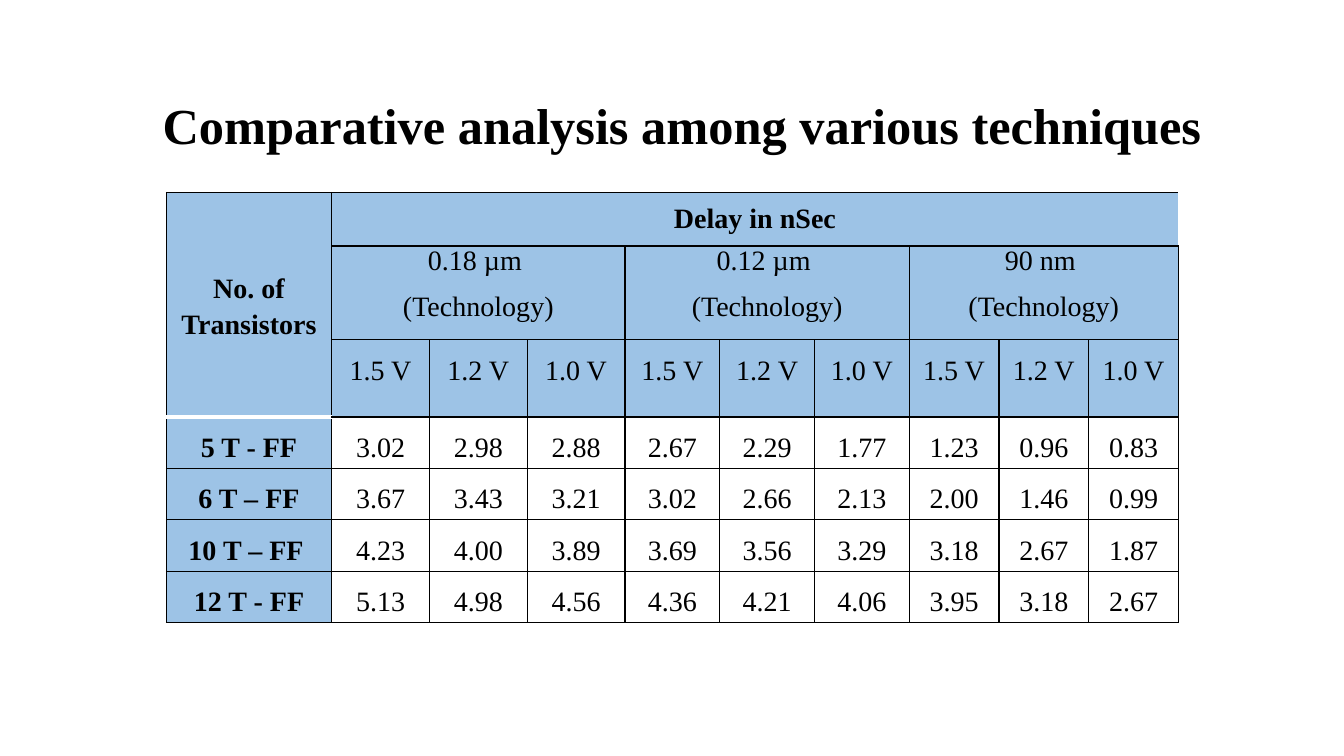
from pptx import Presentation
from pptx.dml.color import RGBColor
from pptx.enum import text as t
from pptx.oxml import parse_xml
from pptx.oxml.ns import nsdecls
from pptx.util import Inches, Pt

BLACK = RGBColor(0x00, 0x00, 0x00)
WHITE = RGBColor(0xFF, 0xFF, 0xFF)
BLUE = RGBColor(0x9D, 0xC3, 0xE6)
FONT = "Times New Roman"

WIDTHS = [1.64] + [0.97] * 3 + [0.94] * 3 + [0.89] * 3
HEIGHTS = [0.53, 0.93, 0.7] + [0.51] * 4
NODES = ["0.18 µm ", "0.12 µm ", "90 nm "]
VOLTS = ["1.5 V", "1.2 V", "1.0 V"]
DELAYS = [
    ("5 T - FF", "3.02 2.98 2.88 2.67 2.29 1.77 1.23 0.96 0.83"),
    ("6 T – FF", "3.67 3.43 3.21 3.02 2.66 2.13 2.00 1.46 0.99"),
    ("10 T – FF ", "4.23 4.00 3.89 3.69 3.56 3.29 3.18 2.67 1.87"),
    ("12 T - FF", "5.13 4.98 4.56 4.36 4.21 4.06 3.95 3.18 2.67"),
]


def add_run(para, words, size, bold):
    run = para.add_run()
    run.text = words
    run.font.name = FONT
    run.font.size = Pt(size)
    run.font.bold = bold
    run.font.color.rgb = BLACK


def add_title(slide, words):
    box = slide.shapes.add_textbox(Inches(0.92), Inches(0.79), Inches(11.5), Inches(0.97))
    frame = box.text_frame
    frame.word_wrap = True
    frame.margin_left = Inches(0.29)
    frame.vertical_anchor = t.MSO_ANCHOR.MIDDLE
    para = frame.paragraphs[0]
    para.alignment = t.PP_ALIGN.CENTER
    para.line_spacing = 0.9
    add_run(para, words, 36, True)


def set_edges(cell, **special):
    """Draw thin black edges, save for the sides given as (colour, points)."""
    props = cell._tc.get_or_add_tcPr()
    for side in "LRTB":
        color, width = special.get(side, (BLACK, 1))
        props.append(parse_xml(
            f'<a:ln{side} {nsdecls("a")} w="{Pt(width)}"><a:solidFill>'
            f'<a:srgbClr val="{color}"/></a:solidFill></a:ln{side}>'))


def fill_cell(cell, lines, bold=False, spacing=1.5, middle=False):
    frame = cell.text_frame
    for i, line in enumerate(lines):
        para = frame.add_paragraph() if i else frame.paragraphs[0]
        para.alignment = t.PP_ALIGN.CENTER
        para.line_spacing = spacing
        para.space_after = Pt(10)
        add_run(para, line, 20, bold)
    if middle:
        cell.vertical_anchor = t.MSO_ANCHOR.MIDDLE


def style_grid(table):
    last = len(WIDTHS) - 1
    for r in range(len(HEIGHTS)):
        for c in range(len(WIDTHS)):
            cell = table.cell(r, c)
            cell.margin_left = cell.margin_right = Inches(0.07)
            cell.margin_top = cell.margin_bottom = 0
            special = {}
            if r == 0 and c in (1, last):
                special["R"] = (WHITE, 1)
            if c == 0 and r in (0, 2):
                special["B"] = (WHITE, 3)
            if c == 0 and r == 3:
                special["T"] = (WHITE, 3)
            set_edges(cell, **special)
            if r < 3 or c == 0:
                cell.fill.solid()
                cell.fill.fore_color.rgb = BLUE
            else:
                cell.fill.background()


def add_delays(slide):
    frame = slide.shapes.add_table(
        len(HEIGHTS), len(WIDTHS), Inches(1.65), Inches(1.91),
        Inches(sum(WIDTHS)), Inches(sum(HEIGHTS)))
    table = frame.table
    table.first_row = table.horz_banding = False
    for col, width in zip(table.columns, WIDTHS):
        col.width = Inches(width)
    for row, height in zip(table.rows, HEIGHTS):
        row.height = Inches(height)
    style_grid(table)

    # Header rows
    table.cell(0, 0).merge(table.cell(2, 0))
    fill_cell(table.cell(0, 0), ["No. of Transistors"], True, 1.15, True)
    table.cell(0, 1).merge(table.cell(0, 9))
    fill_cell(table.cell(0, 1), ["Delay in nSec"], True, 1.0, True)
    for i, node in enumerate(NODES):
        first = 1 + 3 * i
        table.cell(1, first).merge(table.cell(1, first + 2))
        fill_cell(table.cell(1, first), [node, "(Technology)"], spacing=1.0)
        for j, volt in enumerate(VOLTS):
            fill_cell(table.cell(2, first + j), [volt])

    # Delay values
    for r, (name, values) in enumerate(DELAYS, 3):
        fill_cell(table.cell(r, 0), [name], True)
        for c, value in enumerate(values.split(), 1):
            fill_cell(table.cell(r, c), [value])


def main():
    deck = Presentation()
    deck.slide_width = Inches(13.33)
    deck.slide_height = Inches(7.5)
    slide = deck.slides.add_slide(deck.slide_layouts[6])
    add_title(slide, "Comparative analysis among various techniques")
    add_delays(slide)
    deck.save("out.pptx")


if __name__ == "__main__":
    main()
